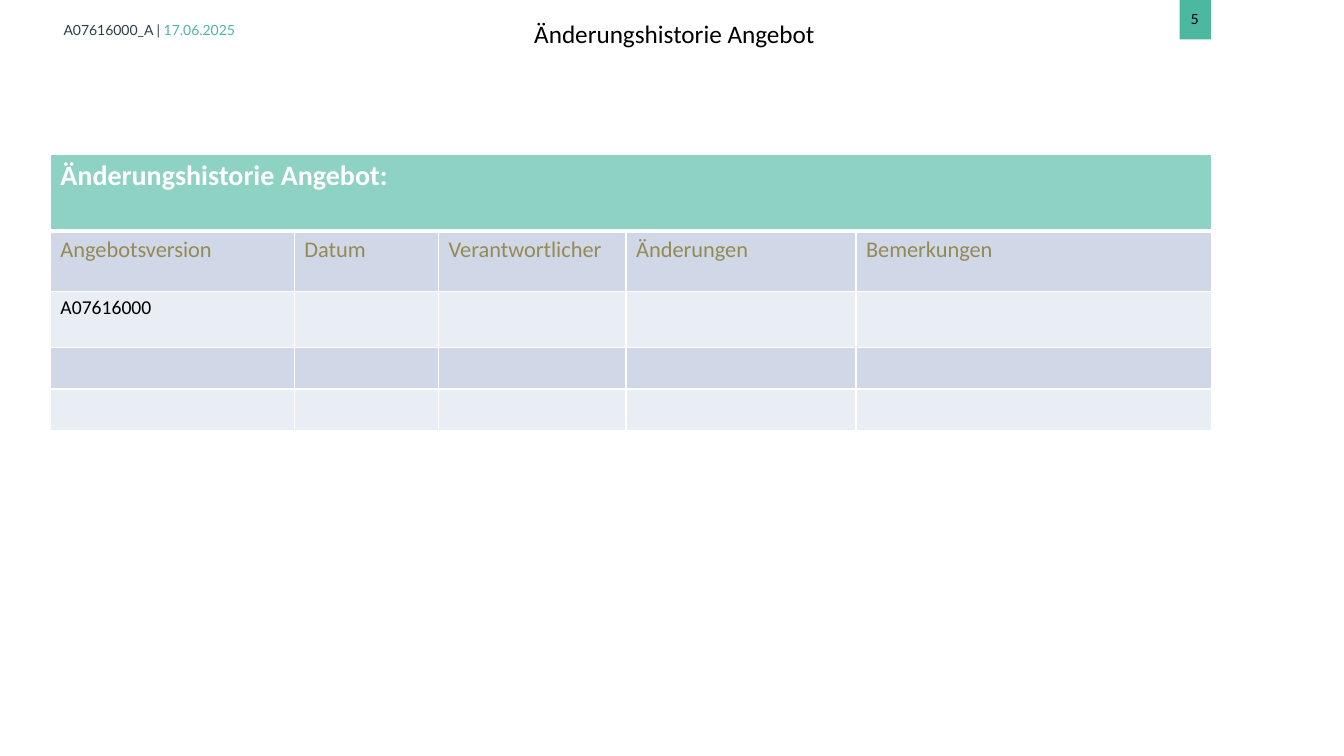
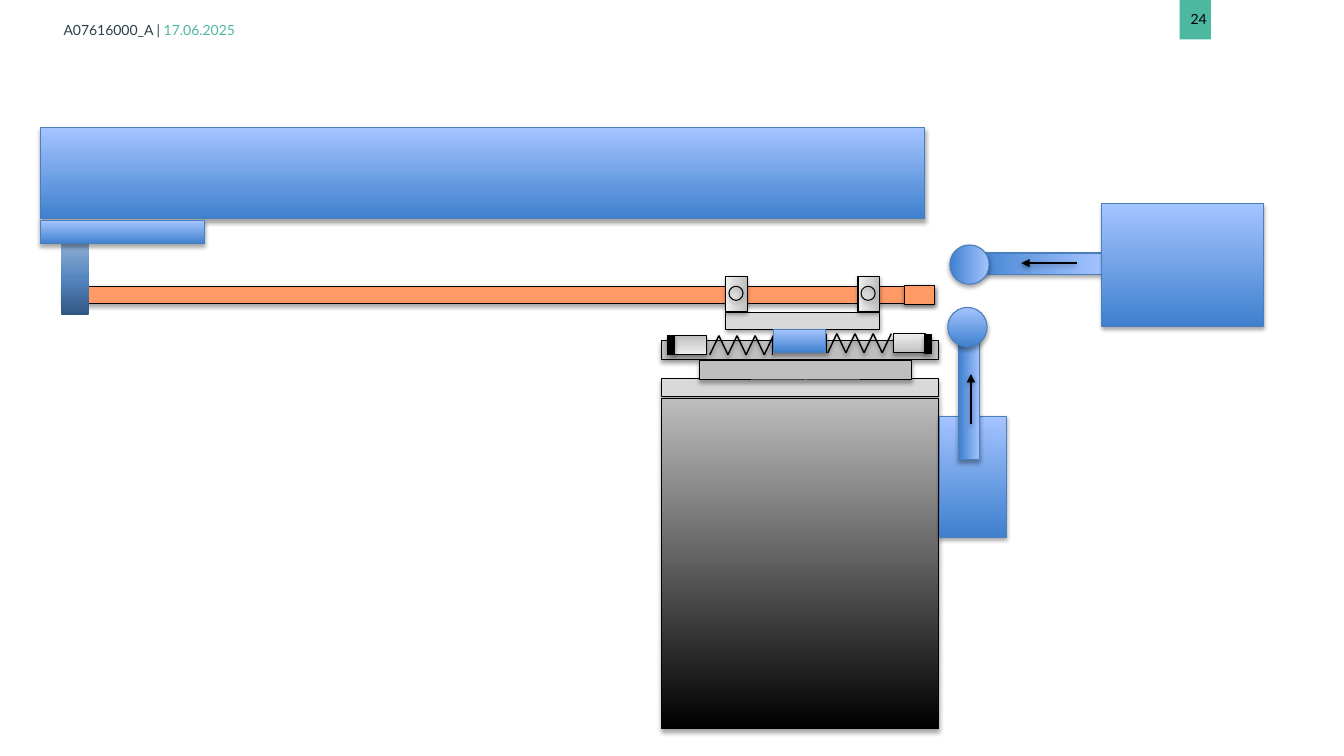
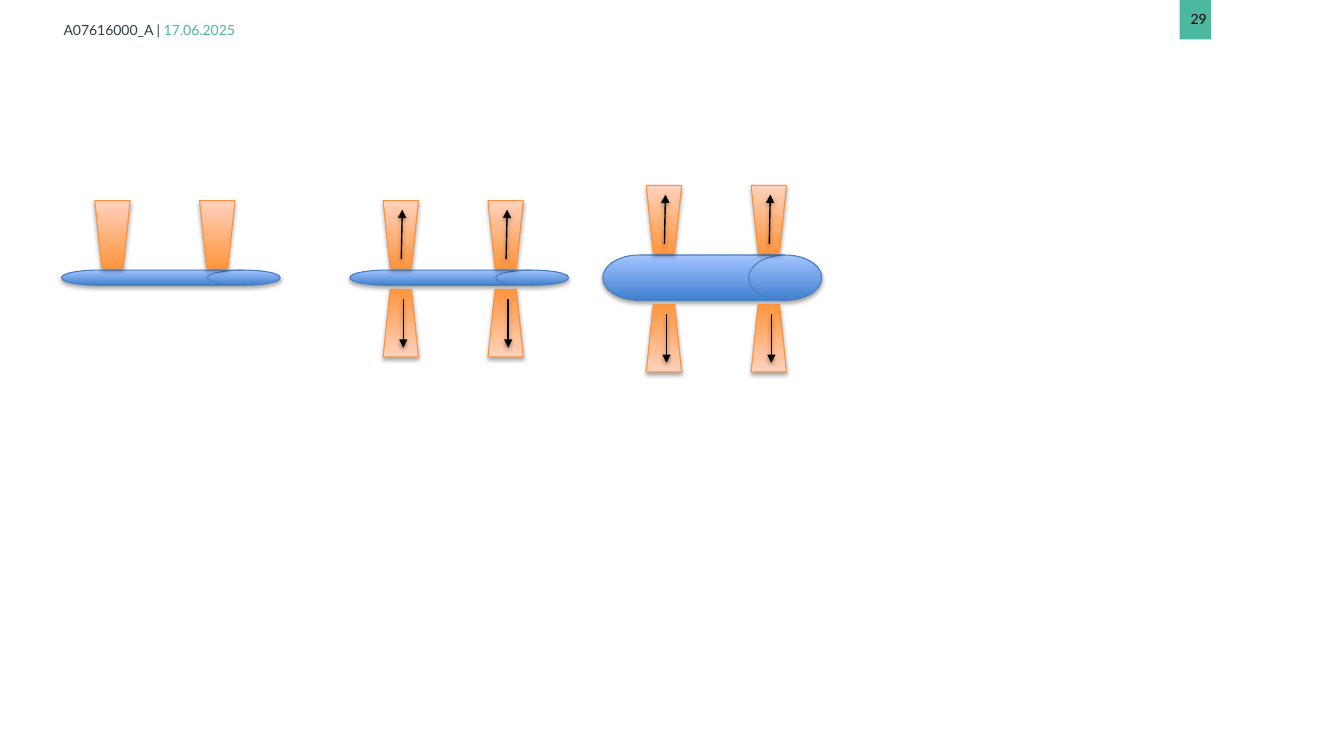
import pptx
import pptx.util
import pptx.dml.color
import pptx.enum.shapes
import pptx.enum.text
import pptx.oxml
import pptx.oxml.ns
import lxml.etree

Inches = pptx.util.Inches
Pt = pptx.util.Pt
qn = pptx.oxml.ns.qn
KIND = pptx.enum.shapes.MSO_SHAPE
ALIGN = pptx.enum.text.PP_ALIGN
ANCHOR = pptx.enum.text.MSO_ANCHOR

HUES = {
    "green": "4DB8A0", "mint": "8ED2C3", "slate": "2C3F48", "olive": "948A54",
    "black": "000000", "white": "FFFFFF", "band": "D0D8E8", "pale": "E9EDF4",
    "light": "D9D9D9", "grey": "BFBFBF", "copper": "FF9966",
    "blue line": "4B7EBC", "jaw line": "F69240",
}
BLUE = [(0, "3F80CE"), (100, "A4C4FF")]
STEEL = [(0, "BDBDBD"), (35, "D1D1D1"), (100, "EEEEEE")]
MOTOR = [(0, "000000"), (100, "BDBDBD")]
POST = [(0, "315683"), (48, "5485BF"), (100, "95B3D7")]
JAW = [(0, "FF953E"), (100, "FFD2BD")]


def color(name):
    return pptx.dml.color.RGBColor.from_string(HUES[name])


def child(node, tag, **attrs):
    return lxml.etree.SubElement(node, qn(tag), attrs)


def shade(effects, drop, alpha):
    shadow = child(effects, "a:outerShdw", blurRad="40000", dist=str(drop),
                   dir="5400000", rotWithShape="0")
    tone = child(shadow, "a:srgbClr", val=HUES["black"])
    child(tone, "a:alpha", val=str(alpha * 1000))


def blend(fill, props, stops, angle):
    fill.gradient()
    fill.gradient_angle = angle
    marks = props.find(qn("a:gradFill")).find(qn("a:gsLst"))
    for mark in list(marks):
        marks.remove(mark)
    for place, tone in stops:
        mark = child(marks, "a:gs", pos=str(place * 1000))
        child(mark, "a:srgbClr", val=tone)


def part(slide, x, y, w, h, fill=None, line="black", kind=KIND.RECTANGLE,
         angle=90, turn=0, shadow=True):
    shape = slide.shapes.add_shape(kind, Inches(x), Inches(y), Inches(w), Inches(h))
    shape.rotation = turn
    if fill is None:
        shape.fill.background()
    elif isinstance(fill, str):
        shape.fill.solid()
        shape.fill.fore_color.rgb = color(fill)
    else:
        blend(shape.fill, shape._element.spPr, fill, angle)
    if line:
        shape.line.color.rgb = color(line)
        shape.line.width = Pt(0.75)
    else:
        shape.line.fill.background()
    shape.shadow.inherit = False
    if shadow:
        shade(shape._element.spPr.find(qn("a:effectLst")), 23000, 35)
    return shape


def blue(slide, x, y, w, h, **more):
    return part(slide, x, y, w, h, BLUE, "blue line", **more)


def stroke(slide, x1, y1, x2, y2, arrow=False):
    line = slide.shapes.add_connector(
        pptx.enum.shapes.MSO_CONNECTOR.STRAIGHT,
        Inches(x1), Inches(y1), Inches(x2), Inches(y2))
    line.line.color.rgb = color("black")
    line.line.width = Pt(1)
    props = line._element.spPr
    if arrow:
        child(props.find(qn("a:ln")), "a:tailEnd", type="triangle")
    shade(child(props, "a:effectLst"), 20000, 38)


def style(font, size, hue, face="Calibri", bold=False):
    font.size = Pt(size)
    font.name = face
    font.bold = bold
    font.color.rgb = color(hue)


def label(slide, x, y, w, h):
    box = slide.shapes.add_textbox(Inches(x), Inches(y), Inches(w), Inches(h))
    box.text_frame.word_wrap = True
    return box.text_frame


def header(slide, number):
    frame = label(slide, 0.6, 0.18, 3.51, 0.23)
    frame.vertical_anchor = ANCHOR.MIDDLE
    frame.margin_left = frame.margin_right = Inches(0.03)
    frame.margin_top = frame.margin_bottom = Inches(0.03)
    for text, hue in (("A07616000_A | ", "slate"), ("17.06.2025", "green")):
        run = frame.paragraphs[0].add_run()
        run.text = text
        style(run.font, 10, hue, "Lato")
    part(slide, 11.7, 0, 0.31, 0.39, "green", None, shadow=False)
    para = label(slide, 11.71, 0.06, 0.8, 0.27).paragraphs[0]
    para.text = str(number)
    style(para.font, 10, "black", "Lato")


def title(slide, text):
    para = label(slide, 2.91, 0.13, 7.56, 0.31).paragraphs[0]
    para.text = text
    para.alignment = ALIGN.CENTER
    style(para.font, 18, "black")


def border(cell, head):
    props = cell._tc.get_or_add_tcPr()
    for place, tag in enumerate(("a:lnL", "a:lnR", "a:lnT", "a:lnB")):
        width = Pt(3) if head and tag == "a:lnB" else Pt(1)
        line = lxml.etree.Element(qn(tag), w=str(int(width)))
        child(child(line, "a:solidFill"), "a:srgbClr", val=HUES["white"])
        props.insert(place, line)


def history(slide, x, y):
    widths = (2.42, 1.43, 1.86, 2.28, 3.53)
    heights = (0.76, 0.6, 0.56, 0.41, 0.41)
    rows = [
        ["Änderungshistorie Angebot:"],
        ["Angebotsversion", "Datum", "Verantwortlicher", "Änderungen", "Bemerkungen"],
        ["A07616000"], [], [],
    ]
    looks = [("mint", 20, "white"), ("band", 16, "olive"), ("pale", 14, "black"),
             ("band", 14, "black"), ("pale", 14, "black")]
    table = slide.shapes.add_table(
        len(rows), len(widths), Inches(x), Inches(y),
        Inches(sum(widths)), Inches(sum(heights))).table
    for column, width in zip(table.columns, widths):
        column.width = Inches(width)
    for r, (row, height) in enumerate(zip(table.rows, heights)):
        row.height = Inches(height)
        fill, size, hue = looks[r]
        for c, cell in enumerate(row.cells):
            cell.fill.solid()
            cell.fill.fore_color.rgb = color(fill)
            border(cell, r == 0)
            para = cell.text_frame.paragraphs[0]
            if c < len(rows[r]):
                para.text = rows[r][c]
            style(para.font, size, hue, bold=r == 0)
    table.cell(0, 0).merge(table.cell(0, len(widths) - 1))


def stand(slide, x, y):
    part(slide, x, y + 0.38, 2.75, 0.17, "light")
    part(slide, x, y, 2.75, 0.19, "grey")
    part(slide, x + 0.38, y + 0.2, 2.1, 0.19, "grey")
    part(slide, x, y + 0.57, 2.75, 3.28, MOTOR)


def spring(slide, x, y, stop):
    step, high = 0.09, 0.19
    for i in range(7):
        low, top = (y + high, y) if i % 2 == 0 else (y, y + high)
        stroke(slide, x + i * step, low, x + (i + 1) * step, top)
    stroke(slide, stop, y, stop, y + high)


def springs(slide, x, y):
    part(slide, x + 0.07, y, 0.32, 0.19, STEEL, angle=270)
    part(slide, x, y, 0.07, 0.19, "black")
    spring(slide, x + 0.42, y, x + 1.04)
    part(slide, x + 2.24, y - 0.02, 0.32, 0.19, STEEL)
    part(slide, x + 2.55, y - 0.01, 0.07, 0.19, "black")
    spring(slide, x + 1.59, y - 0.02, x + 1.58)


def bar(slide, x, y):
    part(slide, x, y, 8.64, 0.17, "copper")
    part(slide, x + 8.34, y - 0.01, 0.3, 0.19, "copper")


def clamp(slide, x, y):
    part(slide, x, y + 0.36, 1.52, 0.17, "light")
    for left in (x, x + 1.31):
        part(slide, left, y, 0.21, 0.35, STEEL, angle=180)
        part(slide, left + 0.03, y + 0.1, 0.14, 0.14, kind=KIND.OVAL)
    blue(slide, x + 0.47, y + 0.53, 0.52, 0.23)


def lifter(slide, x, y):
    blue(slide, x, y + 1.08, 0.66, 1.2)
    blue(slide, x + 0.19, y + 0.2, 0.21, 1.31, angle=0)
    blue(slide, x + 0.08, y, 0.39, 0.39, kind=KIND.OVAL)
    stroke(slide, x + 0.31, y + 1.16, x + 0.31, y + 0.66, True)


def pusher(slide, x, y):
    blue(slide, x + 0.2, y + 0.49, 1.31, 0.21, angle=0)
    blue(slide, x, y + 0.41, 0.39, 0.39, kind=KIND.OVAL, angle=0)
    blue(slide, x + 1.51, y, 1.6, 1.22)
    stroke(slide, x + 1.26, y + 0.59, x + 0.71, y + 0.59, True)


def hanger(slide, x, y):
    part(slide, x + 0.21, y + 0.18, 0.27, 0.76, POST, None, shadow=False)
    blue(slide, x, y, 1.63, 0.23)


def gripper(slide, x, y, high, inset, under=True):
    blue(slide, x, y, 2.17, high, kind=KIND.FLOWCHART_DIRECT_ACCESS_STORAGE)
    above, below = y - 0.69, y + high + 0.04
    for left in (x + inset, x + inset + 1.04):
        for top, turn in ((above, 0), (below, 180))[:2 if under else 1]:
            part(slide, left, top, 0.35, 0.67, JAW, "jaw line",
                 KIND.FLOWCHART_MANUAL_OPERATION, turn=turn)
        if under:
            stroke(slide, left + 0.18, above + 0.58, left + 0.19, above + 0.09, True)
            stroke(slide, left + 0.2, below + 0.1, left + 0.2, below + 0.58, True)


def machine(slide):
    stand(slide, 6.56, 3.38)
    springs(slide, 6.62, 3.33)
    blue(slide, 0.4, 1.27, 8.77, 0.9)
    bar(slide, 0.63, 2.84)
    clamp(slide, 7.2, 2.74)
    lifter(slide, 9.32, 3.05)
    pusher(slide, 9.42, 2.02)
    hanger(slide, 0.4, 2.19)


def main():
    deck = pptx.Presentation()
    deck.slide_width, deck.slide_height = Inches(13.33), Inches(7.5)
    slides = []
    for number in (5, 24, 29):
        slide = deck.slides.add_slide(deck.slide_layouts[6])
        header(slide, number)
        slides.append(slide)
    first, second, third = slides
    title(first, "Änderungshistorie Angebot")
    history(first, 0.5, 1.53)
    machine(second)
    gripper(third, 0.61, 2.68, 0.15, 0.33, under=False)
    gripper(third, 3.47, 2.68, 0.15, 0.33)
    gripper(third, 5.98, 2.53, 0.45, 0.43)
    deck.save("out.pptx")


if __name__ == "__main__":
    main()
